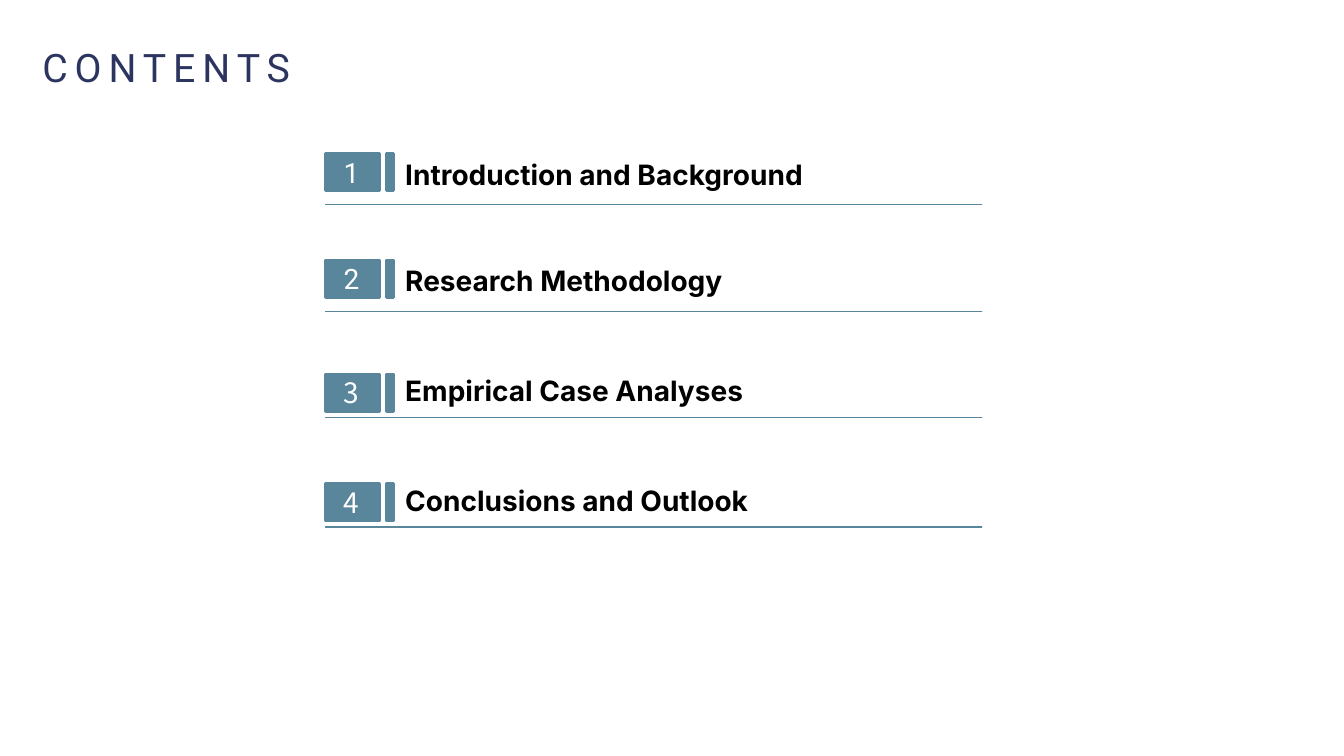
from dataclasses import dataclass

from pptx import Presentation
from pptx.dml.color import RGBColor
from pptx.enum import text
from pptx.shapes.autoshape import Shape
from pptx.shapes.shapetree import GroupShapes
from pptx.util import Pt

Point = tuple[float, float]


@dataclass(frozen=True)
class Theme:
    """Colours, fonts and type sizes of the slide."""

    accent: str = "59869B"
    rule_fill: str = "797DAA"
    title: str = "2C3460"
    body: str = "000000"
    light: str = "FFFFFF"
    latin: str = "Roboto"
    heading: str = "Inter"
    cjk: str = "Noto Sans CJK SC"
    title_size: float = 28
    item_size: float = 20


@dataclass(frozen=True)
class Chapter:
    """One numbered line of the contents list."""

    number: str
    name: str
    top: float
    rule_height: float
    number_font: str


THEME = Theme()
LEFT, RIGHT = 232.56, 701.28
BADGE_HEIGHT, BLOCK_WIDTH = 26.64, 38.52
BAR_OFFSET, BAR_WIDTH = 43.56, 5.04
RULE_LIFT = 7.2
CHAPTERS = [
    Chapter("1", "Introduction and Background", 109.44, 43.92, THEME.latin),
    Chapter("2", "Research Methodology", 185.76, 43.92, THEME.latin),
    Chapter("3", "Empirical Case Analyses", 267.12, 38.16, THEME.cjk),
    Chapter("4", "Conclusions and Outlook", 345.6, 38.16, THEME.cjk),
]


def write(box: Shape, words: str, *, font: str, size: float, color: str,
          bold: bool = False, align: text.PP_ALIGN = text.PP_ALIGN.CENTER,
          left: float = 0, right: float = 0, wrap: bool = True,
          tracking: float = 0) -> None:
    """Put one formatted, vertically centred line of text in a box."""
    frame = box.text_frame
    frame.word_wrap = wrap
    frame.vertical_anchor = text.MSO_ANCHOR.MIDDLE
    frame.margin_left, frame.margin_right = Pt(left), Pt(right)
    frame.margin_top = frame.margin_bottom = 0
    para = frame.paragraphs[0]
    para.alignment = align
    span = para.add_run()
    span.text = words
    span.font.name, span.font.size, span.font.bold = font, Pt(size), bold
    span.font.color.rgb = RGBColor.from_string(color)
    if tracking:
        span._r.get_or_add_rPr().set("spc", str(round(tracking * 100)))


def rectangle(left: float, top: float, width: float, height: float) -> list[Point]:
    """Return the corners of a rectangle."""
    right, bottom = left + width, top + height
    return [(left, top), (right, top), (right, bottom), (left, bottom)]


def draw_outline(shapes: GroupShapes, contours: list[list[Point]], *,
                 fill: str, line_width: float) -> Shape:
    """Draw closed contours as one freeform."""
    scaled = [[(Pt(x), Pt(y)) for x, y in contour] for contour in contours]
    builder = shapes.build_freeform(*scaled[0][0])
    for index, (start, *rest) in enumerate(scaled):
        if index:
            builder.move_to(*start)
        builder.add_line_segments(rest, close=True)
    shape = builder.convert_to_shape()
    shape.shadow.inherit = False
    shape.fill.solid()
    shape.fill.fore_color.rgb = RGBColor.from_string(fill)
    shape.line.color.rgb = RGBColor.from_string(THEME.accent)
    shape.line.width = Pt(line_width)
    return shape


def draw_chapter(shapes: GroupShapes, chapter: Chapter) -> None:
    """Draw the number badge and the underlined name of a chapter."""
    bar = rectangle(LEFT + BAR_OFFSET, chapter.top, BAR_WIDTH, BADGE_HEIGHT)
    block = rectangle(LEFT, chapter.top, BLOCK_WIDTH, BADGE_HEIGHT)
    badge = draw_outline(shapes, [bar, block], fill=THEME.accent, line_width=2)
    write(badge, chapter.number, font=chapter.number_font, size=THEME.item_size,
          color=THEME.light, right=11.52)

    top = chapter.top - RULE_LIFT
    bottom = top + chapter.rule_height
    rule = [(RIGHT, bottom), (LEFT, bottom), (RIGHT, bottom)]
    corner = [(RIGHT, top)] * 3
    label = draw_outline(shapes, [rule, corner], fill=THEME.rule_fill, line_width=1)
    write(label, chapter.name, font=THEME.heading, size=THEME.item_size,
          color=THEME.body, bold=True, align=text.PP_ALIGN.LEFT, left=56.88)


def main() -> None:
    """Build the contents slide and save it."""
    deck = Presentation()
    deck.slide_width, deck.slide_height = Pt(960), Pt(540)
    page = deck.slides.add_slide(deck.slide_layouts[6])
    title = page.shapes.add_textbox(Pt(10.8), Pt(24), Pt(216), Pt(47))
    write(title, "CONTENTS", font=THEME.latin, size=THEME.title_size,
          color=THEME.title, left=7.2, right=7.2, wrap=False, tracking=5)
    for chapter in CHAPTERS:
        draw_chapter(page.shapes.add_group_shape().shapes, chapter)
    deck.save("out.pptx")


if __name__ == "__main__":
    main()
